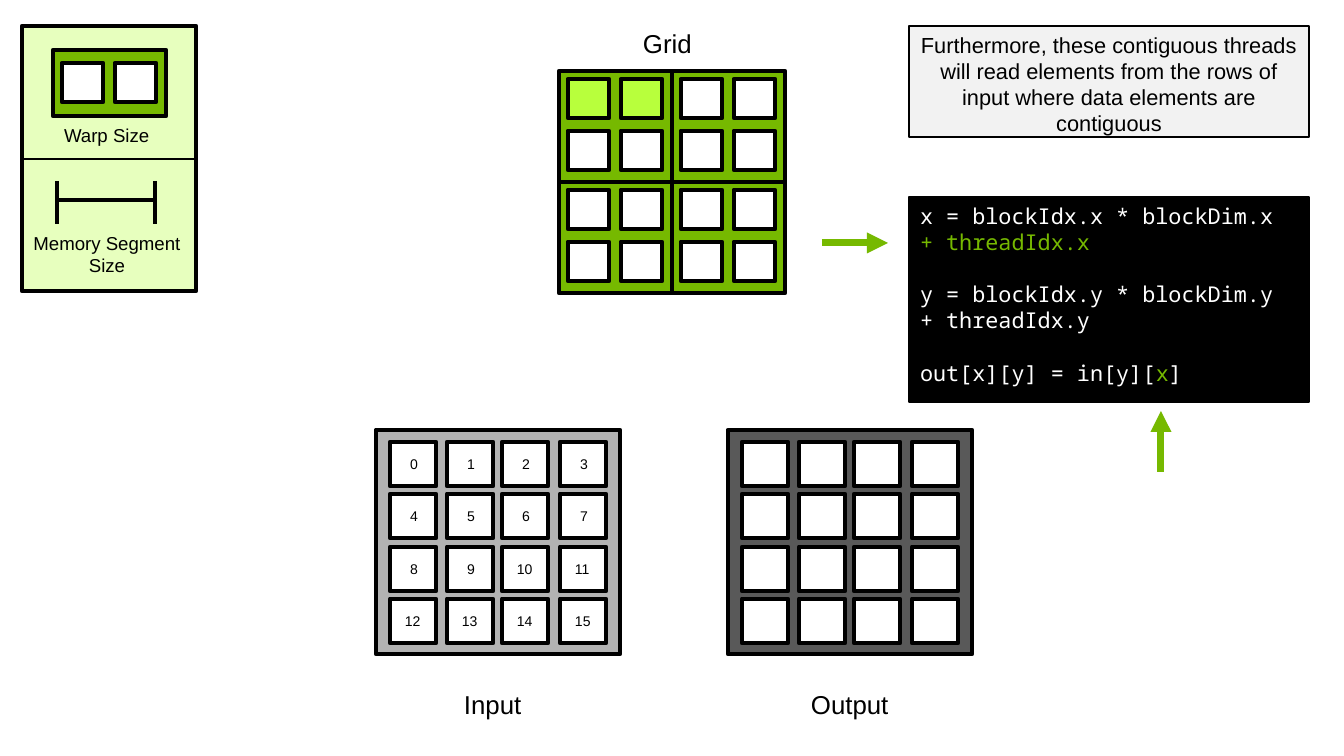
from dataclasses import dataclass
from typing import NamedTuple, Optional

from lxml.etree import SubElement
from pptx import Presentation
from pptx.dml.color import RGBColor
from pptx.enum.shapes import MSO_CONNECTOR, MSO_SHAPE
from pptx.enum.text import MSO_ANCHOR, MSO_AUTO_SIZE, PP_ALIGN
from pptx.oxml.ns import qn
from pptx.util import Emu, Pt


@dataclass(frozen=True)
class Theme:
    black: str = "000000"
    white: str = "FFFFFF"
    green: str = "76B900"
    lime: str = "B8FF3C"
    pale_green: str = "E7FFBE"
    note_gray: str = "F2F2F2"
    input_gray: str = "B3B3B3"
    output_gray: str = "595959"
    sans: str = "Arial"
    mono: str = "Noto Sans Mono"
    title_size: float = 16.6
    body_size: float = 14
    body_leading: float = 16.8
    legend_size: float = 12
    number_size: float = 9
    frame_line: float = 3
    thin_line: float = 0.75
    rule_line: float = 1.5
    bracket_line: float = 2.25
    arrow_line: float = 4.5


THEME = Theme()
PX_PER_INCH = 112


class Box(NamedTuple):
    left: int
    top: int
    width: int
    height: int


class Span(NamedTuple):
    text: str
    color: str = THEME.black


class Matrix(NamedTuple):
    """A frame with cells at fixed offsets from its corner."""
    frame: Box
    fill: str
    columns: tuple
    rows: tuple
    cell_width: int
    cell_height: int


class Line(NamedTuple):
    x1: int
    y1: int
    x2: int
    y2: int
    width: float
    color: str = THEME.black
    arrow: bool = False


class Label(NamedTuple):
    text: str
    box: Box
    size: float
    wrap: bool = False
    middle: bool = False


def px(value: float) -> Emu:
    return Emu(round(value * 914400 / PX_PER_INCH))


def add_box(page, box: Box, fill: str, line_width: float = THEME.frame_line):
    shape = page.shapes.add_shape(MSO_SHAPE.RECTANGLE, *map(px, box))
    shape.shadow.inherit = False
    shape.fill.solid()
    shape.fill.fore_color.rgb = RGBColor.from_string(fill)
    shape.line.color.rgb = RGBColor.from_string(THEME.black)
    shape.line.width = Pt(line_width)
    return shape


def add_span(para, span: Span, font: str, size: float) -> None:
    run = para.add_run()
    run.text = span.text
    run.font.name = font
    run.font.size = Pt(size)
    run.font.color.rgb = RGBColor.from_string(span.color)


def add_label(page, label: Label) -> None:
    frame = page.shapes.add_textbox(*map(px, label.box)).text_frame
    frame.word_wrap = label.wrap
    frame.auto_size = MSO_AUTO_SIZE.SHAPE_TO_FIT_TEXT
    frame.vertical_anchor = MSO_ANCHOR.MIDDLE if label.middle else MSO_ANCHOR.TOP
    para = frame.paragraphs[0]
    para.alignment = PP_ALIGN.CENTER if label.wrap else PP_ALIGN.LEFT
    add_span(para, Span(label.text), THEME.sans, label.size)


def add_panel(page, box: Box, fill: str, font: str, align: PP_ALIGN, blocks: list) -> None:
    """Draw a filled panel; each block is a list of lines, each line a list of spans."""
    frame = add_box(page, box, fill, THEME.thin_line).text_frame
    frame.word_wrap = True
    frame.vertical_anchor = MSO_ANCHOR.TOP
    for index, lines in enumerate(blocks):
        para = frame.add_paragraph() if index else frame.paragraphs[0]
        para.alignment = align
        para.line_spacing = Pt(THEME.body_leading)
        if index:
            para.space_before = Pt(THEME.body_leading)
        for number, spans in enumerate(lines):
            if number:
                para.add_line_break()
            for span in spans:
                add_span(para, span, font, THEME.body_size)


def add_line(page, line: Line) -> None:
    ends = map(px, (line.x1, line.y1, line.x2, line.y2))
    connector = page.shapes.add_connector(MSO_CONNECTOR.STRAIGHT, *ends)
    connector.line.color.rgb = RGBColor.from_string(line.color)
    connector.line.width = Pt(line.width)
    if line.arrow:
        SubElement(connector.line._get_or_add_ln(), qn("a:tailEnd"), type="triangle")
    SubElement(connector._element.spPr, qn("a:effectLst"))


def add_matrix(page, matrix: Matrix, lit_row: Optional[int] = None, numbered: bool = False) -> None:
    add_box(page, matrix.frame, matrix.fill)
    for row, dy in enumerate(matrix.rows):
        for column, dx in enumerate(matrix.columns):
            cell = Box(matrix.frame.left + dx, matrix.frame.top + dy,
                       matrix.cell_width, matrix.cell_height)
            add_box(page, cell, THEME.lime if row == lit_row else THEME.white)
            if numbered:
                text = str(row * len(matrix.columns) + column)
                width = 28 if len(text) == 1 else 38
                spot = Box(cell.left + (cell.width - width) // 2, cell.top + 8, width, 28)
                add_label(page, Label(text, spot, THEME.number_size, middle=True))


def thread_block(left: int, top: int) -> Matrix:
    return Matrix(Box(left, top, 113, 111), THEME.green, (9, 62), (8, 60), 41, 39)


def data_board(left: int, fill: str) -> Matrix:
    return Matrix(Box(left, 430, 244, 224), fill, (14, 71, 126, 184), (12, 64, 117, 169), 46, 44)


def main() -> None:
    deck = Presentation()
    deck.slide_width, deck.slide_height = px(1344), px(756)
    page = deck.slides.add_slide(deck.slide_layouts[6])

    # Grid of two by two thread blocks, first two threads lit
    for row in range(2):
        for column in range(2):
            block = thread_block(559 + 113 * column, 71 + 111 * row)
            add_matrix(page, block, lit_row=0 if row == column == 0 else None)

    # Input and output matrices
    add_matrix(page, data_board(376, THEME.input_gray), numbered=True)
    add_matrix(page, data_board(728, THEME.output_gray))

    # Legend: warp and memory segment
    add_box(page, Box(22, 26, 174, 265), THEME.pale_green)
    warp = Matrix(Box(53, 50, 113, 66), THEME.green, (9, 62), (13,), 41, 39)
    add_matrix(page, warp)
    for line in (
        Line(57, 200, 155, 200, THEME.bracket_line),
        Line(57, 181, 57, 224, THEME.bracket_line),
        Line(155, 181, 155, 224, THEME.bracket_line),
        Line(22, 159, 197, 159, THEME.rule_line),
    ):
        add_line(page, line)

    # Captions
    for label in (
        Label("Grid", Box(632, 22, 80, 43), THEME.title_size),
        Label("Input", Box(453, 683, 88, 43), THEME.title_size),
        Label("Output", Box(800, 683, 106, 43), THEME.title_size),
        Label("Warp Size", Box(53, 118, 113, 34), THEME.legend_size),
        Label("Memory Segment Size", Box(22, 226, 170, 56), THEME.legend_size, wrap=True),
    ):
        add_label(page, label)

    # Explanation and code
    note = Span("Furthermore, these contiguous threads will read elements from the rows of "
                "input where data elements are contiguous")
    add_panel(page, Box(909, 26, 400, 111), THEME.note_gray, THEME.sans, PP_ALIGN.CENTER, [[[note]]])
    code = [
        [[Span("x = blockIdx.x * blockDim.x", THEME.white)], [Span("+ threadIdx.x", THEME.green)]],
        [[Span("y = blockIdx.y * blockDim.y", THEME.white)], [Span("+ threadIdx.y", THEME.white)]],
        [[Span("out[x][y] = in[y][", THEME.white), Span("x", THEME.green), Span("]", THEME.white)]],
    ]
    add_panel(page, Box(909, 197, 400, 205), THEME.black, THEME.mono, PP_ALIGN.LEFT, code)

    # Arrows pointing at the code
    add_line(page, Line(822, 243, 888, 243, THEME.arrow_line, THEME.green, arrow=True))
    add_line(page, Line(1161, 472, 1161, 411, THEME.arrow_line, THEME.green, arrow=True))

    deck.save("out.pptx")


if __name__ == "__main__":
    main()
